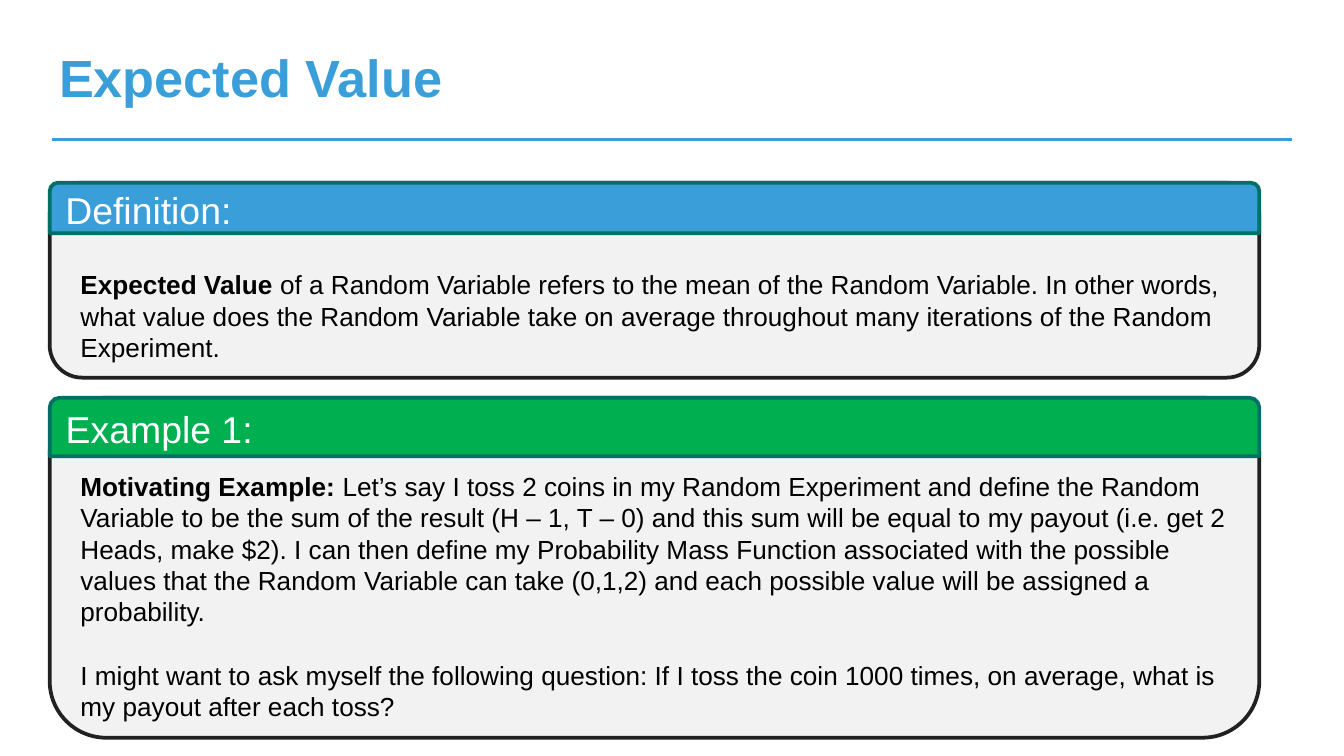
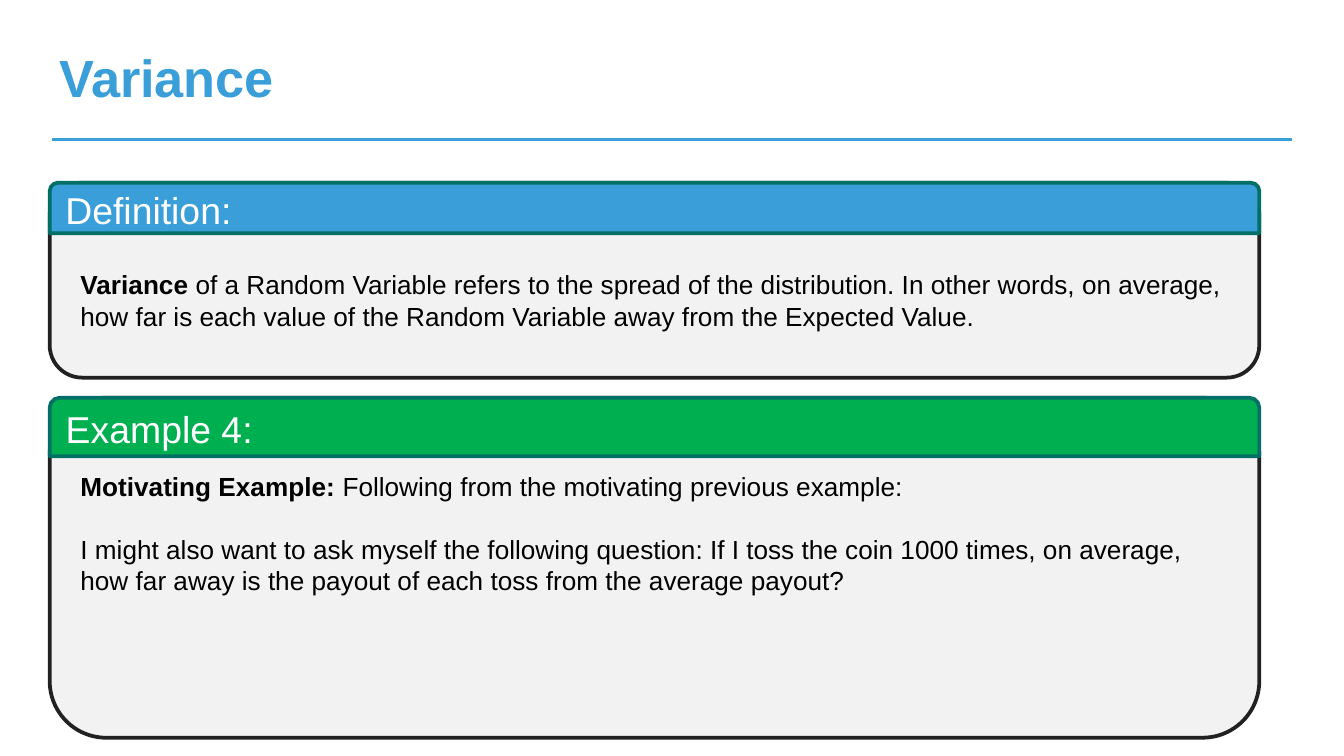
"""Build two slides on expected value and variance, each with a definition and an example panel."""
import pptx
import pptx.dml.color
import pptx.enum.shapes
import pptx.enum.text
import pptx.oxml
import pptx.oxml.ns
import pptx.util

PX = 4572
BLUE, GREEN, TEAL = "3A9ED9", "00B050", "006F65"
PANEL, EDGE, WHITE, BLACK = "F2F2F2", "212121", "FFFFFF", "000000"
SHAPE = pptx.enum.shapes.MSO_SHAPE
ANCHOR = pptx.enum.text.MSO_ANCHOR
FIT = pptx.enum.text.MSO_AUTO_SIZE
LEFT = pptx.enum.text.PP_ALIGN.LEFT

PANELS = [
    {"top": 272, "height": 290, "band": 75, "fill": BLUE, "text_top": 390},
    {"top": 592, "height": 506, "band": 87, "fill": GREEN, "text_top": 690},
]

SLIDES = [
    ("Expected Value", [
        ("Definition:", 162, [
            [("Expected Value ", True),
             ("of a Random Variable refers to the mean of the Random Variable. In other words, "
              "what value does the Random Variable take on average throughout many iterations "
              "of the Random Experiment.", False)],
        ]),
        ("Example 1:", 398, [
            [("Motivating Example: ", True),
             ("Let’s say I toss 2 coins in my Random Experiment and define the Random Variable "
              "to be the sum of the result (H – 1, T – 0) and this sum will be equal to my payout "
              "(i.e. get 2 Heads, make $2). I can then define my Probability Mass Function "
              "associated with the possible values that the Random Variable can take (0,1,2) and "
              "each possible value will be assigned a probability.", False)],
            [("I might want to ask myself the following question: If I toss the coin 1000 times, "
              "on average, what is my payout after each toss?", False)],
        ]),
    ]),
    ("Variance", [
        ("Definition:", 114, [
            [("Variance ", True),
             ("of a Random Variable refers to the spread of the distribution. In other words, "
              "on average, how far is each value of the Random Variable away from the "
              "Expected Value.", False)],
        ]),
        ("Example 4:", 208, [
            [("Motivating Example: ", True),
             ("Following from the motivating previous example:", False)],
            [("I might also want to ask myself the following question: If I toss the coin 1000 "
              "times, on average, how far away is the payout of each toss from the average "
              "payout?", False)],
        ]),
    ]),
]


def rgb(value):
    return pptx.dml.color.RGBColor.from_string(value)


def add_run(p, text, size, color, bold=False):
    r = p.add_run()
    r.text = text
    r.font.name = "Arial"
    r.font.size = pptx.util.Pt(size)
    r.font.bold = bold
    r.font.color.rgb = rgb(color)


prs = pptx.Presentation()
prs.slide_width = 2000 * PX
prs.slide_height = 1125 * PX

for title, sections in SLIDES:
    s = prs.slides.add_slide(prs.slide_layouts[5])

    line = s.shapes.add_connector(
        pptx.enum.shapes.MSO_CONNECTOR.STRAIGHT, 78 * PX, 208 * PX, 1922 * PX, 208 * PX)
    line.line.color.rgb = rgb(BLUE)
    line.line.width = pptx.util.Pt(1.5)
    line._element.spPr.append(pptx.oxml.parse_xml(
        "<a:effectLst %s/>" % pptx.oxml.ns.nsdecls("a")))

    sp = s.shapes.title
    sp.left, sp.top, sp.width, sp.height = 68 * PX, 48 * PX, 1446 * PX, 126 * PX
    tf = sp.text_frame
    tf.auto_size = FIT.NONE
    tf.vertical_anchor = ANCHOR.TOP
    tf.margin_left = tf.margin_right = tf.margin_top = tf.margin_bottom = 20 * PX
    tf.paragraphs[0].alignment = LEFT
    add_run(tf.paragraphs[0], title, 28, BLUE, True)

    for panel, (heading, text_height, paragraphs) in zip(PANELS, sections):
        group = s.shapes.add_group_shape()
        for kind, height, fill, edge in (
            (SHAPE.ROUNDED_RECTANGLE, panel["height"], PANEL, EDGE),
            (SHAPE.ROUND_2_SAME_RECTANGLE, panel["band"], panel["fill"], TEAL),
        ):
            sp = group.shapes.add_shape(kind, 74 * PX, panel["top"] * PX, 1800 * PX, height * PX)
            sp.shadow.inherit = False
            sp.fill.solid()
            sp.fill.fore_color.rgb = rgb(fill)
            sp.line.color.rgb = rgb(edge)
            sp.line.width = pptx.util.Pt(2)
        tf = sp.text_frame
        tf.vertical_anchor = ANCHOR.MIDDLE
        tf.paragraphs[0].alignment = LEFT
        add_run(tf.paragraphs[0], heading, 20, WHITE)

        sp = s.shapes.add_textbox(100 * PX, panel["text_top"] * PX, 1750 * PX, text_height * PX)
        tf = sp.text_frame
        tf.word_wrap = True
        tf.auto_size = FIT.SHAPE_TO_FIT_TEXT
        for i, runs in enumerate(paragraphs):
            p = tf.add_paragraph() if i else tf.paragraphs[0]
            p.space_before = pptx.util.Pt(17 if i else 0)
            for text, bold in runs:
                add_run(p, text, 14, BLACK, bold)

prs.save("out.pptx")
